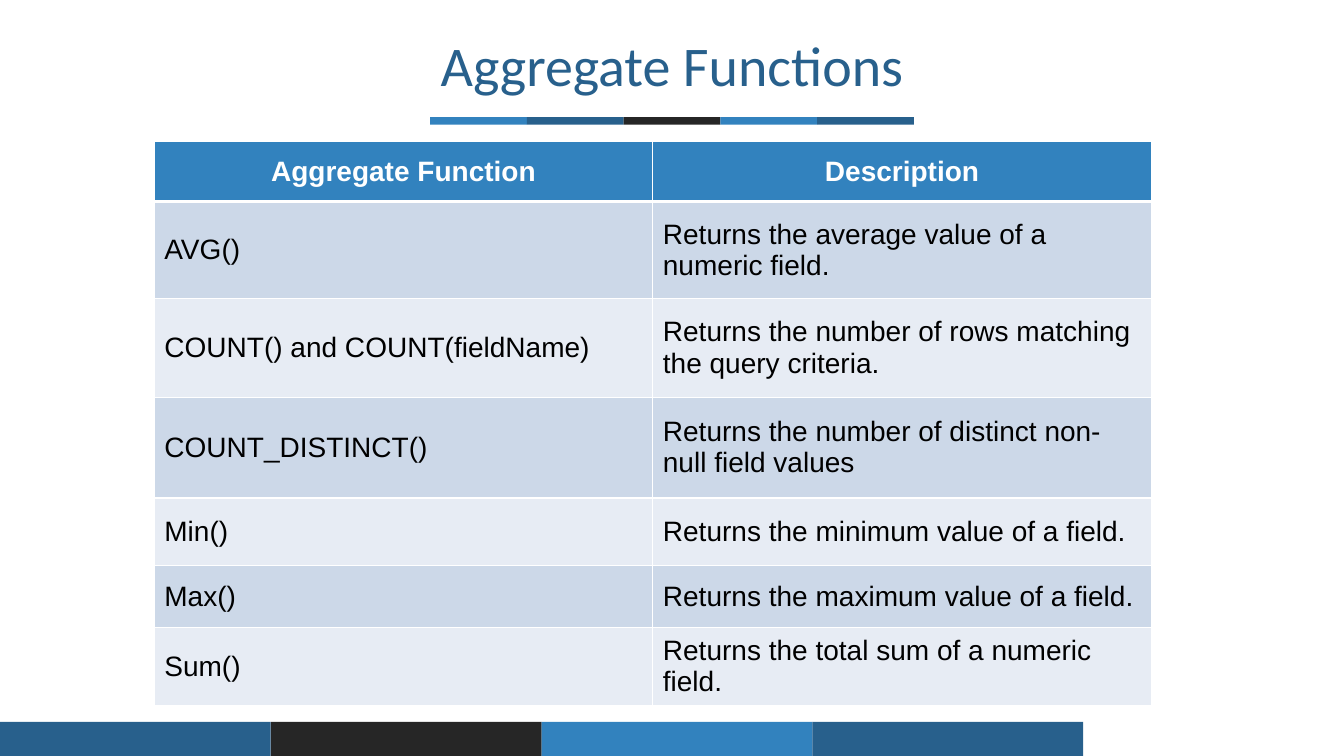
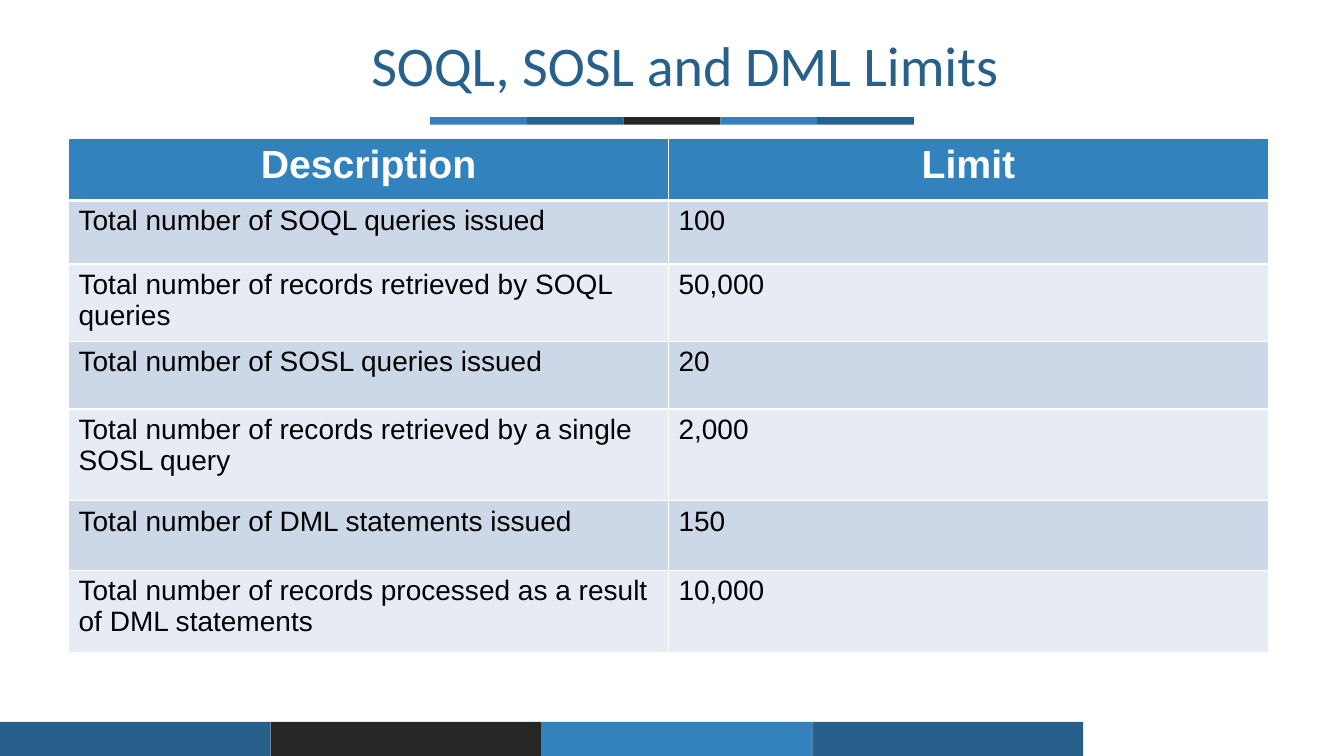
from lxml import etree
from pptx import Presentation
from pptx.dml.color import RGBColor
from pptx.enum.shapes import MSO_SHAPE
from pptx.enum.text import MSO_ANCHOR, PP_ALIGN
from pptx.oxml.ns import qn
from pptx.util import Inches, Pt

RECT = MSO_SHAPE.RECTANGLE
TOP, MIDDLE = MSO_ANCHOR.TOP, MSO_ANCHOR.MIDDLE
LEFT, CENTER = PP_ALIGN.LEFT, PP_ALIGN.CENTER

WIDE, HIGH = 13.33, 7.5
COLORS = {
    "blue": "3282BE", "navy": "28608C", "dark": "262626",
    "odd": "CCD8E8", "even": "E7ECF4", "white": "FFFFFF", "black": "000000",
}
STRIP = ["blue", "navy", "dark", "blue", "navy"]
FOOTER = ["navy", "dark", "blue", "navy"]

# Boxes are left, top, width, height as shares of the slide
STRIP_BOX = (0.32, 0.155, 0.36, 0.01)
FOOTER_BOX = (0, 0.955, 0.806, 0.045)
TITLE_BOX = (0.03, 0.045, 0.94, 0.092)

SLIDES = [
    {
        "title": "Aggregate Functions", "shift": 0,
        "place": (1.53, 1.4, 9.89), "anchor": MIDDLE, "head": 20,
        "heights": [0.6, 0.96, 0.98, 1, 0.67, 0.62, 0.67],
        "rows": [
            ("Aggregate Function", "Description"),
            ("AVG()", "Returns the average value of a numeric field."),
            ("COUNT() and COUNT(fieldName)",
             "Returns the number of rows matching the query criteria."),
            ("COUNT_DISTINCT()",
             "Returns the number of distinct non-null field values"),
            ("Min()", "Returns the minimum value of a field."),
            ("Max()", "Returns the maximum value of a field."),
            ("Sum()", "Returns the total sum of a numeric field."),
        ],
    },
    {
        "title": "SOQL, SOSL and DML Limits", "shift": 0.25,
        "place": (0.68, 1.37, 11.9), "anchor": TOP, "head": 28,
        "heights": [0.62, 0.63, 0.74, 0.67, 0.91, 0.69, 0.82],
        "rows": [
            ("Description", "Limit"),
            ("Total number of SOQL queries issued", "100"),
            ("Total number of records retrieved by SOQL queries", "50,000"),
            ("Total number of SOSL queries issued", "20"),
            ("Total number of records retrieved by a single SOSL query",
             "2,000"),
            ("Total number of DML statements issued", "150"),
            ("Total number of records processed as a result of DML statements",
             "10,000"),
        ],
    },
]


def color(name):
    return RGBColor.from_string(COLORS[name])


def scale(box):
    """Turn shares of the slide into lengths."""
    return [Inches(part * side) for part, side in zip(box, (WIDE, HIGH) * 2)]


def write(frame, text, ink, align, **format):
    para = frame.paragraphs[0]
    para.alignment = align
    run = para.add_run()
    run.text = text
    for key, value in format.items():
        setattr(run.font, key, value)
    run.font.color.rgb = color(ink)
    return para


def add_band(slide, box, names):
    """Split the box into equal blocks, one for each colour."""
    left, top, width, height = box
    step = width / len(names)
    for i, name in enumerate(names):
        block = slide.shapes.add_shape(
            RECT, *scale((left + i * step, top, step, height)))
        block.shadow.inherit = False
        block.fill.solid()
        block.fill.fore_color.rgb = color(name)
        block.line.fill.background()


def add_title(slide, box, text, shift):
    frame = slide.shapes.add_textbox(*scale(box)).text_frame
    frame.word_wrap = True
    frame.vertical_anchor = MIDDLE
    frame.margin_left = Inches(0.1 + shift)
    para = write(frame, text, "navy", CENTER, name="Calibri", size=Pt(40))
    para.line_spacing = 0.9


def add_edges(cell, base):
    """Draw white cell borders; base is the width of the bottom one."""
    props = cell._tc.get_or_add_tcPr()
    for side, width in {"L": 1, "R": 1, "T": 1, "B": base}.items():
        line = etree.SubElement(props, qn("a:ln" + side), w=str(Pt(width)))
        fill = etree.SubElement(line, qn("a:solidFill"))
        etree.SubElement(fill, qn("a:srgbClr"), val=COLORS["white"])


def add_grid(slide, place, rows, heights, anchor, head):
    left, top, width = place
    table = slide.shapes.add_table(
        len(rows), len(rows[0]), Inches(left), Inches(top),
        Inches(width), Inches(sum(heights))).table
    for r, (row, height) in enumerate(zip(rows, heights)):
        table.rows[r].height = Inches(height)
        first = r == 0
        back = "blue" if first else ("even", "odd")[r % 2]
        for c, text in enumerate(row):
            cell = table.cell(r, c)
            add_edges(cell, 3 if first else 1)
            cell.fill.solid()
            cell.fill.fore_color.rgb = color(back)
            cell.vertical_anchor = anchor
            write(cell.text_frame, text, "white" if first else "black",
                  CENTER if first else LEFT, name="Arial",
                  size=Pt(head if first else 20), bold=first)


def add_page(deck, page):
    slide = deck.slides.add_slide(deck.slide_layouts[6])
    add_band(slide, STRIP_BOX, STRIP)
    add_band(slide, FOOTER_BOX, FOOTER)
    add_title(slide, TITLE_BOX, page["title"], page["shift"])
    add_grid(slide, page["place"], page["rows"], page["heights"],
             page["anchor"], page["head"])


def main():
    deck = Presentation()
    deck.slide_width, deck.slide_height = Inches(WIDE), Inches(HIGH)
    for page in SLIDES:
        add_page(deck, page)
    deck.save("out.pptx")


if __name__ == "__main__":
    main()
